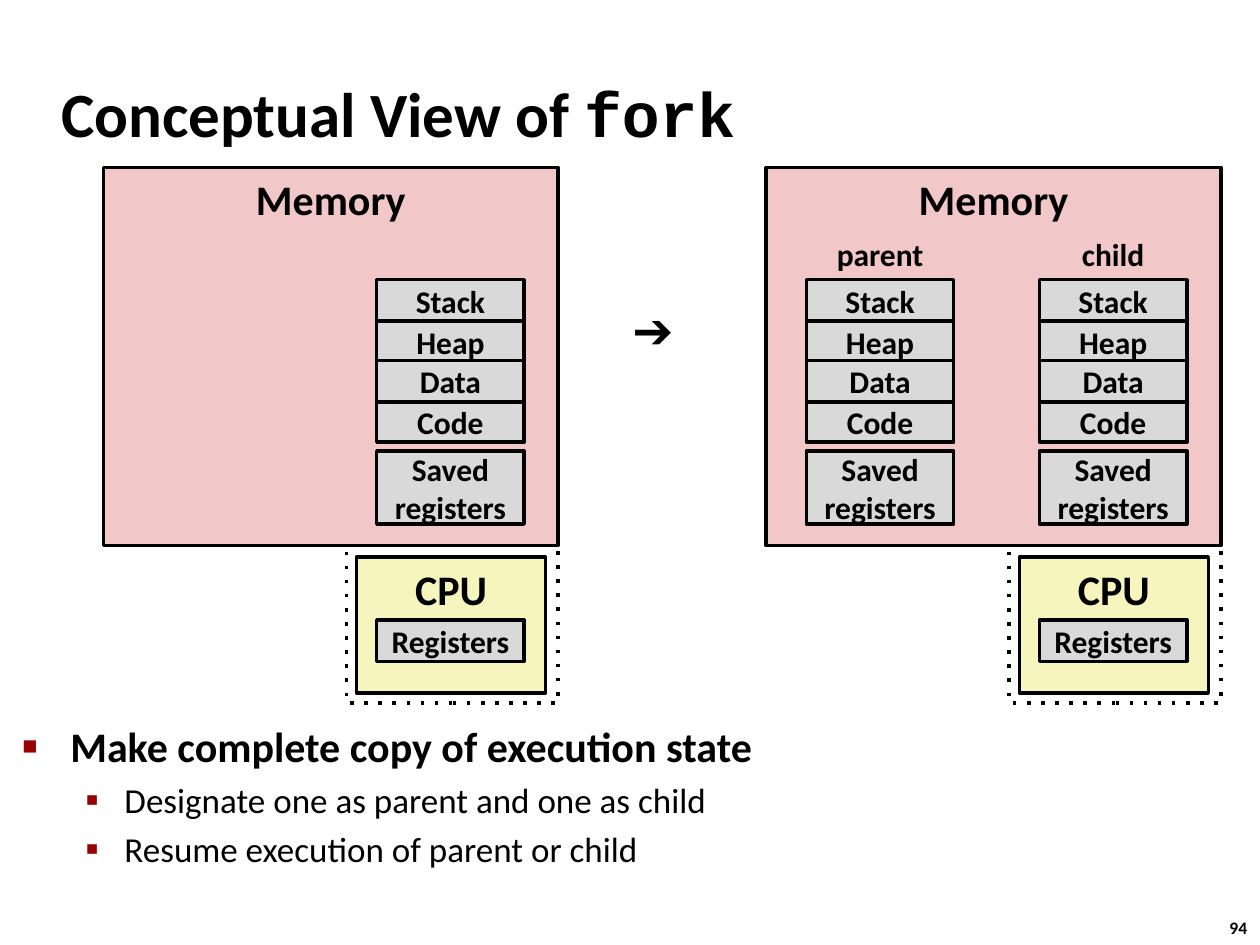
from lxml import etree
from pptx import Presentation
from pptx.dml.color import RGBColor
from pptx.enum.shapes import MSO_SHAPE
from pptx.enum.text import MSO_ANCHOR, PP_ALIGN
from pptx.oxml.ns import qn
from pptx.util import Inches, Pt

RECT = MSO_SHAPE.RECTANGLE
TOP, MIDDLE = MSO_ANCHOR.TOP, MSO_ANCHOR.MIDDLE
LEFT, CENTER = PP_ALIGN.LEFT, PP_ALIGN.CENTER

BLACK = RGBColor(0x00, 0x00, 0x00)
PINK = RGBColor(0xF1, 0xC7, 0xC7)
YELLOW = RGBColor(0xF6, 0xF5, 0xBD)
GRAY = RGBColor(0xD9, 0xD9, 0xD9)
BULLET_RED = "990000"

TITLE = [("Conceptual View of ", "Calibri"), ("fork", "Courier New")]
# text, level, size, bold, left margin, hanging indent, bullet, bullet size %
POINTS = [
    ("Make complete copy of execution state", 0, 24, True, 0.38, 0.38, "■", 60),
    ("Designate one as parent and one as child", 1, 20, False, 0.81, 0.31, "▪", 110),
    ("Resume execution of parent or child", 1, 20, False, 0.81, 0.31, "▪", 110),
]
# label, top, height
SEGMENTS = [
    ("Stack", 2.22, 0.33),
    ("Heap", 2.55, 0.33),
    ("Code", 3.18, 0.33),
    ("Data", 2.86, 0.33),
    ("Saved registers", 3.58, 0.58),
]
# machine left edge, processes as (offset from that edge, caption)
MACHINES = [
    (0.82, [(2.17, "")]),
    (6.08, [(0.32, "parent"), (2.17, "child")]),
]
MEMORY_TOP, MEMORY_WIDTH, MEMORY_HEIGHT = 1.33, 3.61, 3
SEGMENT_WIDTH = 1.17


def add_run(paragraph, text, size, bold=True, font="Calibri"):
    run = paragraph.add_run()
    run.text = text
    run.font.size = Pt(size)
    run.font.bold = bold
    run.font.name = font
    run.font.color.rgb = BLACK


def add_box(shapes, left, top, width, height, fill=None, label="", size=18, anchor=MIDDLE):
    """Add a black-edged rectangle; without a fill its edge is dotted."""
    box = shapes.add_shape(RECT, Inches(left), Inches(top), Inches(width), Inches(height))
    box.shadow.inherit = False
    box.line.color.rgb = BLACK
    box.line.width = Pt(2)
    if fill is None:
        box.fill.background()
        edge = box.element.spPr.find(qn("a:ln"))
        etree.SubElement(edge, qn("a:prstDash"), val="dot")
    else:
        box.fill.solid()
        box.fill.fore_color.rgb = fill
    if label:
        box.text_frame.word_wrap = True
        box.text_frame.vertical_anchor = anchor
        paragraph = box.text_frame.paragraphs[0]
        paragraph.alignment = CENTER
        add_run(paragraph, label, size)


def add_text_frame(shapes, left, top, width, height, wrap=True, anchor=TOP):
    box = shapes.add_textbox(Inches(left), Inches(top), Inches(width), Inches(height))
    box.text_frame.word_wrap = wrap
    box.text_frame.vertical_anchor = anchor
    return box.text_frame


def add_label(shapes, left, top, width, height, text, size, align=LEFT, wrap=True, font="Calibri"):
    paragraph = add_text_frame(shapes, left, top, width, height, wrap).paragraphs[0]
    paragraph.alignment = align
    add_run(paragraph, text, size, font=font)


def set_bullet(paragraph, char, percent, margin, hanging):
    props = paragraph._p.get_or_add_pPr()
    props.set("marL", str(Inches(margin)))
    props.set("indent", str(-Inches(hanging)))
    color = etree.SubElement(props, qn("a:buClr"))
    etree.SubElement(color, qn("a:srgbClr"), val=BULLET_RED)
    etree.SubElement(props, qn("a:buSzPct"), val=str(percent * 1000))
    etree.SubElement(props, qn("a:buFont"), typeface="Arial")
    etree.SubElement(props, qn("a:buChar"), char=char)


def add_machine(shapes, left, processes):
    add_box(shapes, left + 1.93, 1.82, 1.68, 3.76)
    add_box(shapes, left + 2.01, 4.42, 1.5, 1.08, YELLOW, "CPU", 24, TOP)
    add_box(shapes, left + 2.17, 4.92, SEGMENT_WIDTH, 0.33, GRAY, "Registers")
    add_box(shapes, left, MEMORY_TOP, MEMORY_WIDTH, MEMORY_HEIGHT, PINK, "Memory", 24, TOP)
    for offset, caption in processes:
        process = shapes.add_group_shape()
        for label, top, height in SEGMENTS:
            add_box(process.shapes, left + offset, top, SEGMENT_WIDTH, height, GRAY, label)
        if caption:
            add_label(shapes, left + offset, 1.82, SEGMENT_WIDTH, 0.4, caption, 18, CENTER)


def main():
    deck = Presentation()
    deck.slide_width, deck.slide_height = Inches(10), Inches(7.5)
    shapes = deck.slides.add_slide(deck.slide_layouts[6]).shapes

    add_label(shapes, 9.66, 7.23, 0.37, 0.27, "94", 10, wrap=False)

    heading = add_text_frame(shapes, 0.39, 0.48, 8.3, 0.83, anchor=MIDDLE).paragraphs[0]
    for text, font in TITLE:
        add_run(heading, text, 36, font=font)

    body = add_text_frame(shapes, 0.08, 5.67, 8.64, 1.45)
    for i, (text, level, size, bold, margin, hanging, char, percent) in enumerate(POINTS):
        point = body.add_paragraph() if i else body.paragraphs[0]
        point.level = level
        point.space_before = Pt(size * 0.2)
        set_bullet(point, char, percent, margin, hanging)
        add_run(point, text, size, bold)

    for left, processes in MACHINES:
        add_machine(shapes, left, processes)
    add_label(shapes, 4.92, 2.33, 0.62, 0.57, "➔", 28, wrap=False, font="Arial")

    deck.save("out.pptx")


if __name__ == "__main__":
    main()
